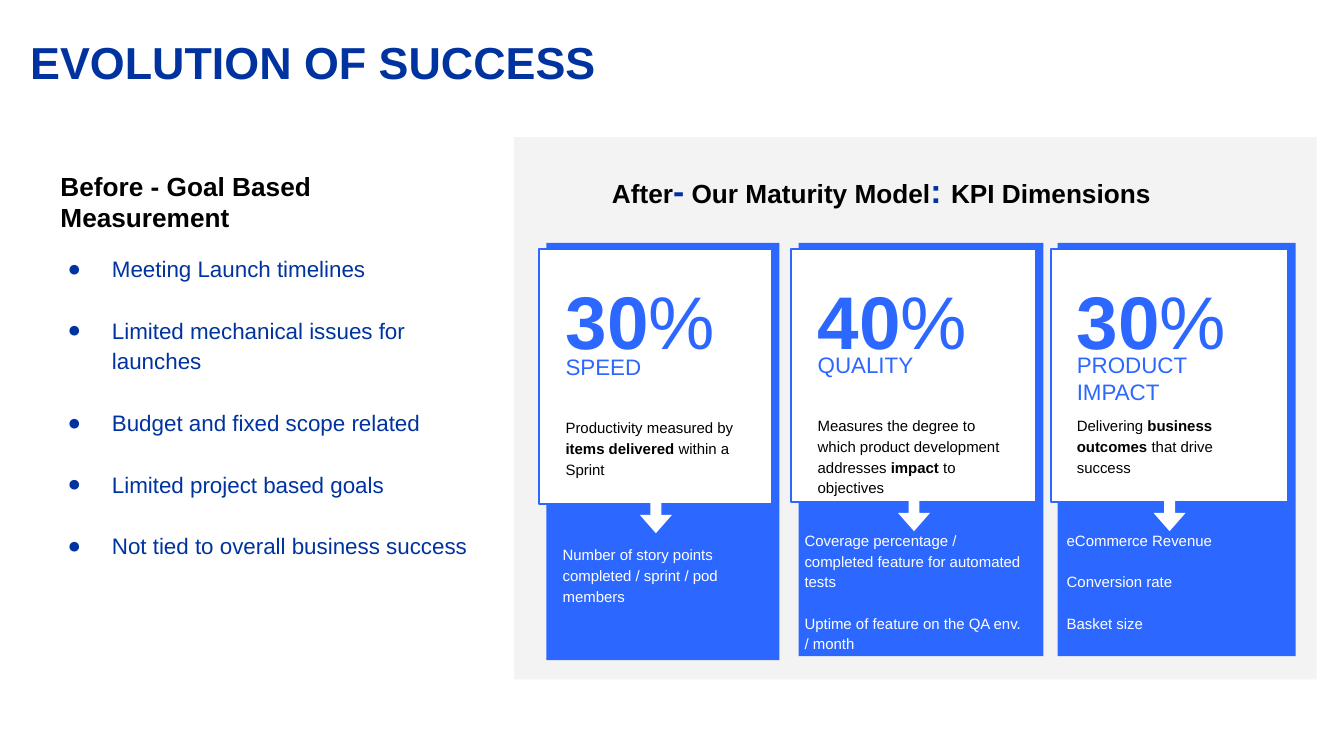
from dataclasses import dataclass

from lxml import etree
from pptx import Presentation
from pptx.dml.color import RGBColor
from pptx.enum.shapes import MSO_SHAPE as Shape
from pptx.enum.text import MSO_ANCHOR as Anchor, MSO_AUTO_SIZE as AutoSize
from pptx.oxml.ns import qn
from pptx.util import Inches, Pt

COLORS = {
    "navy": "0033A0",
    "blue": "2C67FF",
    "panel": "F3F3F3",
    "white": "FFFFFF",
    "black": "000000",
}
FONT = "Arial"
SMALL = 10.7
HEADING = 18.7
CARD_TOP = 2.41
OFFSET = 0.07
PADDING = 0.13


@dataclass
class Card:
    left: float
    width: float
    height: float
    front_height: float
    share: str
    name: str
    summary: list  # (text, bold) pairs
    measures: list
    measures_left: float
    measures_top: float


CARDS = [
    Card(5.42, 2.31, 4.14, 2.53, "30", "SPEED",
         [("Productivity measured by ", False), ("items delivered", True),
          (" within a Sprint", False)],
         ["Number of story points completed / sprint / pod members"],
         5.45, 5.26),
    Card(7.92, 2.43, 4.1, 2.51, "40", "QUALITY",
         [("Measures the degree to which product development addresses ", False),
          ("impact", True), (" to objectives", False)],
         ["Coverage percentage / completed feature for automated tests",
          "Uptime of feature on the QA env. / month"],
         7.85, 5.12),
    Card(10.49, 2.36, 4.1, 2.51, "30", "PRODUCT IMPACT",
         [("Delivering ", False), ("business outcomes", True),
          (" that drive success", False)],
         ["eCommerce Revenue", "Conversion rate", "Basket size"],
         10.45, 5.12),
]

GOALS = [
    "Meeting Launch timelines",
    "Limited mechanical issues for launches",
    "Budget and fixed scope related",
    "Limited project based goals",
    "Not tied to overall business success",
]


def rgb(name):
    return RGBColor.from_string(COLORS[name])


def place(shape, left, top, width, height):
    shape.left, shape.top = Inches(left), Inches(top)
    shape.width, shape.height = Inches(width), Inches(height)


def set_frame(frame, inset):
    frame.word_wrap = True
    frame.auto_size = AutoSize.NONE
    frame.vertical_anchor = Anchor.TOP
    frame.margin_left = frame.margin_right = Inches(inset)
    frame.margin_top = frame.margin_bottom = Inches(inset)


def add_run(para, text, size, color, bold=False):
    span = para.add_run()
    span.text = text
    span.font.name = FONT
    span.font.size = Pt(size)
    span.font.bold = bold
    span.font.color.rgb = rgb(color)


def write(frame, paras, spacing=None, gap=0):
    """Fill the frame with paragraphs, each a list of add_run arguments."""
    for index, runs in enumerate(paras):
        para = frame.add_paragraph() if index else frame.paragraphs[0]
        if spacing:
            para.line_spacing = spacing
        para.space_before = Pt(gap if index else 0)
        for run in runs:
            add_run(para, *run)


def add_text(page, at, paras, spacing=None, gap=0):
    box = page.shapes.add_textbox(*map(Inches, at))
    set_frame(box.text_frame, PADDING)
    write(box.text_frame, paras, spacing, gap)


def add_block(page, at, fill, kind=Shape.RECTANGLE, line=None):
    block = page.shapes.add_shape(kind, *map(Inches, at))
    block.shadow.inherit = False
    block.fill.solid()
    block.fill.fore_color.rgb = rgb(fill)
    if line:
        block.line.color.rgb = rgb(line)
        block.line.width = Pt(1.5)
    else:
        block.line.fill.background()
    return block


def add_bullet(para, color):
    props = para._p.get_or_add_pPr()
    props.set("marL", str(Inches(0.67)))
    props.set("indent", str(Inches(-0.44)))
    bullet_color = etree.SubElement(props, qn("a:buClr"))
    etree.SubElement(bullet_color, qn("a:srgbClr"), val=COLORS[color])
    etree.SubElement(props, qn("a:buChar"), char="●")


def add_title(page):
    title = page.shapes.title
    place(title, 0.3, 0.34, 11.34, 0.36)
    set_frame(title.text_frame, 0)
    write(title.text_frame, [[("EVOLUTION OF SUCCESS", 32, "navy", True)]])
    title.text_frame.paragraphs[0].alignment = 1


def add_goals(page):
    body = page.placeholders[1]
    place(body, 0.39, 2.44, 4.49, 3.92)
    set_frame(body.text_frame, 0.05)
    write(body.text_frame, [[(goal, 16, "navy")] for goal in GOALS], 1.15, 22)
    for para in body.text_frame.paragraphs:
        add_bullet(para, "navy")


def add_arrow(page, center_x, center_y):
    width, height = 0.4, 0.32
    at = (center_x - width / 2, center_y - height / 2, width, height)
    arrow = add_block(page, at, "white", Shape.RIGHT_ARROW)
    arrow.rotation = 90
    arrow.adjustments[0] = 0.34
    arrow.adjustments[1] = 0.57


def add_card(page, card):
    front_left = card.left - OFFSET
    front_top = CARD_TOP + 0.06
    front_bottom = front_top + card.front_height
    text_left = card.left + 0.06
    text_width = card.width - 0.25

    add_block(page, (card.left, CARD_TOP, card.width, card.height), "blue")
    add_block(page, (front_left, front_top, card.width, card.front_height),
              "white", line="blue")
    add_text(page, (text_left, front_bottom - 1.63, text_width, 0.62),
             [[(card.name, 16, "blue")]])
    add_text(page, (text_left, front_bottom - 1, text_width, 0.84),
             [[(text, SMALL, "black", bold) for text, bold in card.summary]], 1.15)
    add_text(page, (text_left, 2.6, text_width, 0.69),
             [[(card.share, 53.3, "blue", True), ("%", 53.3, "blue")]])
    add_arrow(page, front_left + card.width / 2, front_bottom + 0.09)
    add_text(page, (card.measures_left, card.measures_top, card.width, 1.1),
             [[(text, SMALL, "white")] for text in card.measures], 1.15, 14.7)


def main():
    deck = Presentation()
    deck.slide_width, deck.slide_height = Inches(13.33), Inches(7.5)
    page = deck.slides.add_slide(deck.slide_layouts[1])

    add_title(page)
    add_goals(page)
    add_block(page, (5.1, 1.36, 7.96, 5.38), "panel")
    for card in CARDS:
        add_card(page, card)
    add_text(page, (5.94, 1.56, 6.96, 0.72), [[
        ("After", HEADING, "black", True),
        ("-", 24, "navy", True),
        (" Our Maturity Model", HEADING, "black", True),
        (": ", 24, "navy", True),
        ("KPI Dimensions", HEADING, "black", True),
    ]])
    add_text(page, (0.47, 1.56, 5.76, 0.72), [
        [("Before - Goal Based", HEADING, "black", True)],
        [("Measurement", HEADING, "black", True)],
    ])
    deck.save("out.pptx")


if __name__ == "__main__":
    main()
